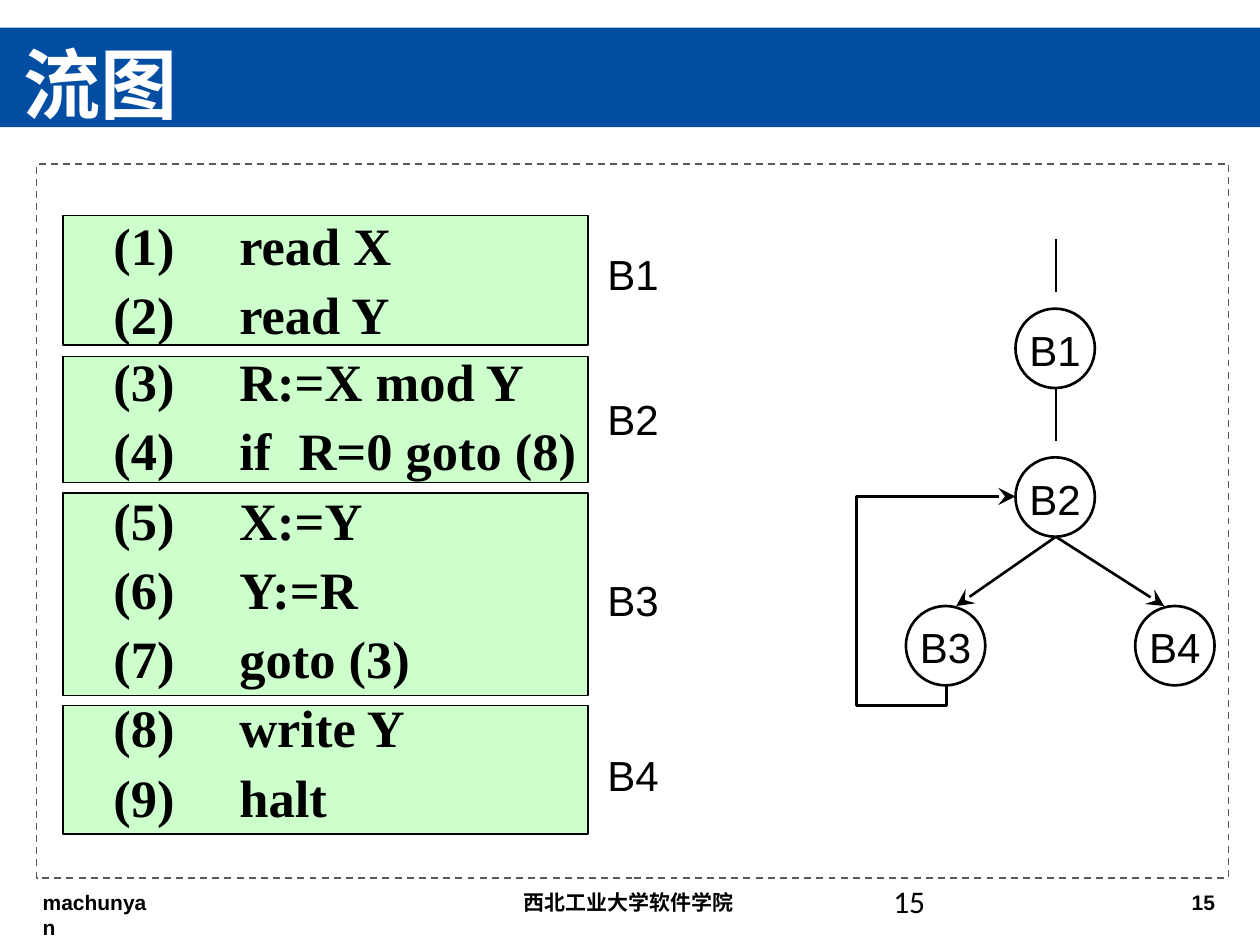
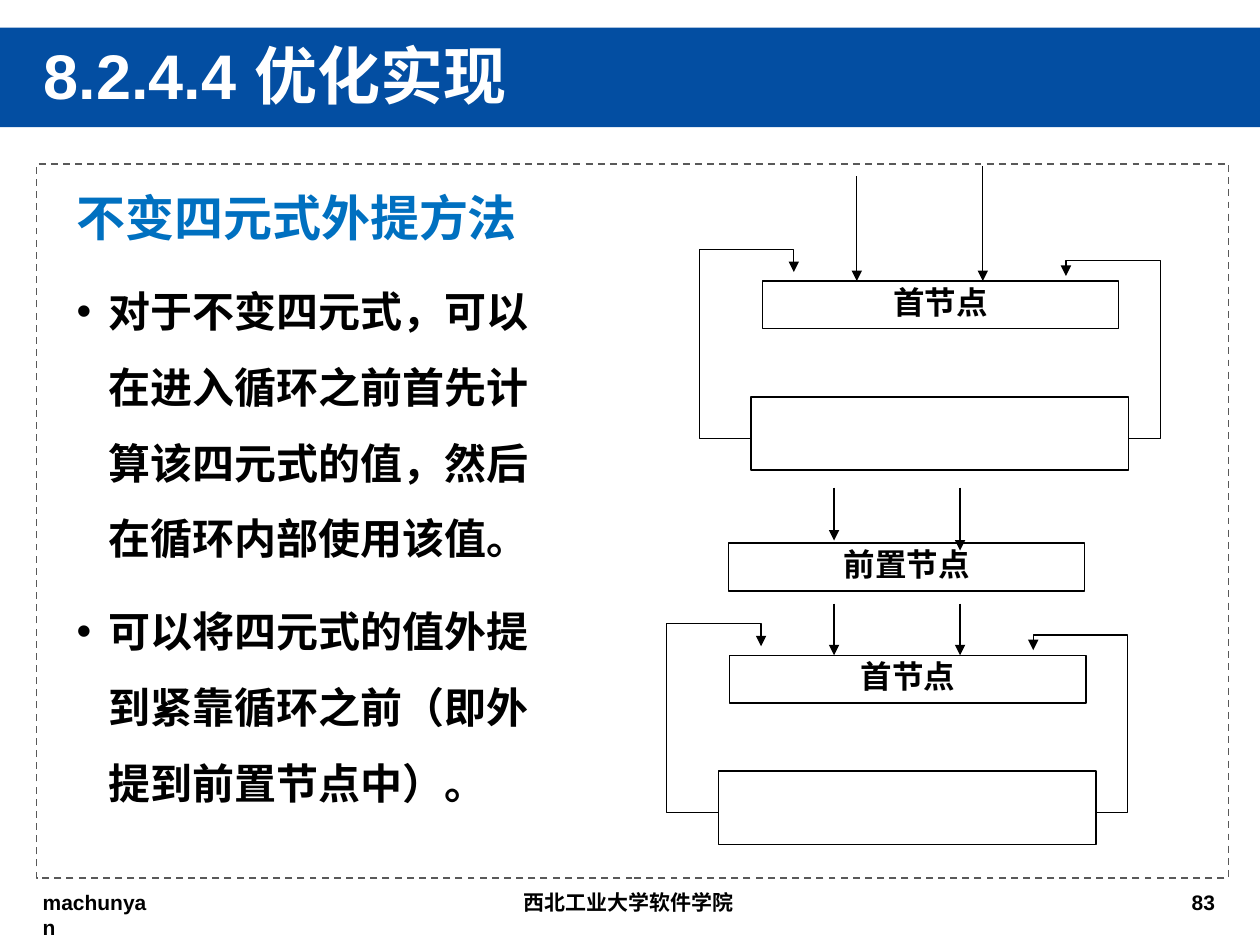
from dataclasses import dataclass

import pptx
import pptx.dml.color
import pptx.enum.dml
import pptx.enum.shapes
import pptx.enum.text
import pptx.oxml.ns
import pptx.util
from lxml import etree

EMU_PER_PX = 9144  # 100 px to the inch
SLIDE_WIDTH, SLIDE_HEIGHT = 1000, 750

BLACK = pptx.dml.color.RGBColor(0x00, 0x00, 0x00)
WHITE = pptx.dml.color.RGBColor(0xFF, 0xFF, 0xFF)
BAND_BLUE = pptx.dml.color.RGBColor(0x03, 0x4E, 0xA2)
HEADING_BLUE = pptx.dml.color.RGBColor(0x00, 0x70, 0xC0)
FRAME_GREY = pptx.dml.color.RGBColor(0x59, 0x59, 0x59)
CODE_GREEN = pptx.dml.color.RGBColor(0xCC, 0xFF, 0xCC)

SHAPE = pptx.enum.shapes.MSO_SHAPE
ANCHOR = pptx.enum.text.MSO_ANCHOR
ALIGN = pptx.enum.text.PP_ALIGN

THIN, MEDIUM, THICK = 0.75, 1, 1.5
CODE_FONT = {"font": "Times New Roman", "size": 30, "bold": True}
LABEL_FONT = {"font": "Arial", "size": 24}
NODE_SIZE = 63


@dataclass(frozen=True)
class Box:
    left: int
    top: int
    width: int
    height: int


@dataclass(frozen=True)
class BasicBlock:
    name: str
    top: int
    height: int
    name_top: int
    code_top: int
    first_number: int
    code: tuple[str, ...]


@dataclass(frozen=True)
class Arrow:
    start: tuple[int, int]
    end: tuple[int, int]


BLOCKS = (
    BasicBlock("B1", 171, 103, 196, 168, 1, ("read X", "read Y")),
    BasicBlock("B2", 283, 100, 311, 271, 3, ("R:=X mod Y", "if\tR=0 goto (8)")),
    BasicBlock("B3", 391, 161, 455, 381, 5, ("X:=Y", "Y:=R", "goto (3)")),
    BasicBlock("B4", 560, 102, 594, 546, 8, ("write Y", "halt")),
)
FLOW_NODES = {"B1": (806, 245), "B2": (806, 363), "B3": (719, 481), "B4": (901, 481)}


def px(length: int) -> int:
    return length * EMU_PER_PX


def add_xml(parent, tag: str, **attributes):
    child = etree.SubElement(parent, pptx.oxml.ns.qn(tag))
    for name, value in attributes.items():
        child.set(name, str(value))
    return child


def write(shape, *paragraphs: str, font="Arial", size=12, bold=False, color=BLACK,
          align=ALIGN.LEFT, anchor=ANCHOR.TOP, insets=(10, 5, 10, 5),
          line_spacing=1.0, gap=0, hanging=0, bullet=None, start=None, tabs=()):
    """Fill a shape with text; gap is the space between paragraphs in points."""
    frame = shape.text_frame
    frame.word_wrap = True
    frame.vertical_anchor = anchor
    (frame.margin_left, frame.margin_top,
     frame.margin_right, frame.margin_bottom) = map(px, insets)
    for index, text in enumerate(paragraphs):
        paragraph = frame.add_paragraph() if index else frame.paragraphs[0]
        properties = paragraph._p.get_or_add_pPr()
        if hanging:
            properties.set("marL", str(px(hanging)))
            properties.set("indent", str(-px(hanging)))
        if bullet:
            add_xml(properties, "a:buFont", typeface="Arial")
            add_xml(properties, "a:buChar", char=bullet)
        elif start:
            add_xml(properties, "a:buAutoNum", type="arabicParenBoth", startAt=start)
        if tabs:
            stops = add_xml(properties, "a:tabLst")
            for position in tabs:
                add_xml(stops, "a:tab", pos=px(position), algn="l")
        paragraph.alignment = align
        paragraph.line_spacing = line_spacing
        paragraph.space_before = pptx.util.Pt(gap if index else 0)
        run = paragraph.add_run()
        run.text = text
        run.font.name = font
        run.font.size = pptx.util.Pt(size)
        run.font.bold = bold
        run.font.color.rgb = color


def add_text(slide, box: Box, *paragraphs: str, **text_format):
    write(slide.shapes.add_textbox(px(box.left), px(box.top), px(box.width), px(box.height)),
          *paragraphs, **text_format)


def style_outline(line, weight, color=BLACK):
    line.color.rgb = color
    line.width = pptx.util.Pt(weight)


def point_arrow(shape, head: str, size: str):
    line = shape.line._get_or_add_ln()
    add_xml(line, "a:tailEnd", type=head, w=size, len=size)


def add_figure(slide, kind, box: Box, fill=None, weight=0, color=BLACK):
    figure = slide.shapes.add_shape(kind, px(box.left), px(box.top),
                                    px(box.width), px(box.height))
    figure.shadow.inherit = False
    if fill is None:
        figure.fill.background()
    else:
        figure.fill.solid()
        figure.fill.fore_color.rgb = fill
    if weight:
        style_outline(figure.line, weight, color)
    else:
        figure.line.fill.background()
    return figure


def add_edge(slide, arrow: Arrow, weight, head=None, size="med"):
    edge = slide.shapes.add_connector(pptx.enum.shapes.MSO_CONNECTOR.STRAIGHT,
                                      *map(px, arrow.start + arrow.end))
    style_outline(edge.line, weight)
    if head:
        point_arrow(edge, head, size)
    add_xml(edge._element.spPr, "a:effectLst")


def add_bent_arrow(slide, points: list[tuple[int, int]], weight, head, size="med"):
    builder = slide.shapes.build_freeform(*points[0], scale=EMU_PER_PX)
    builder.add_line_segments(points[1:], close=False)
    path = builder.convert_to_shape()
    path.shadow.inherit = False
    path.fill.background()
    style_outline(path.line, weight)
    point_arrow(path, head, size)


def add_page(deck, number: int):
    """Add a blank slide with the footers, the title band and the dashed frame."""
    slide = deck.slides.add_slide(deck.slide_layouts[6])
    footers = (("machunyan", 24, 108), ("西北工业大学软件学院", 406, 188), (str(number), 936, 41))
    for text, left, width in footers:
        add_text(slide, Box(left, 701, width, 30), text, bold=True)
    add_figure(slide, SHAPE.RECTANGLE, Box(0, 22, SLIDE_WIDTH, 79), fill=BAND_BLUE)
    frame = add_figure(slide, SHAPE.RECTANGLE, Box(29, 130, 946, 567),
                       weight=MEDIUM, color=FRAME_GREY)
    frame.line.dash_style = pptx.enum.dml.MSO_LINE.DASH
    return slide


def add_title(slide, box: Box, text: str, **text_format):
    add_text(slide, box, text, bold=True, color=WHITE, anchor=ANCHOR.MIDDLE, **text_format)


def add_basic_block(slide, block: BasicBlock):
    add_figure(slide, SHAPE.RECTANGLE, Box(50, block.top, 417, block.height),
               fill=CODE_GREEN, weight=MEDIUM)
    if block.first_number == 1:
        for index, line in enumerate(block.code):
            add_text(slide, Box(90, block.code_top + 55 * index, 224, 52),
                     f"({index + 1})\t{line}", insets=(0, 1, 0, 0), tabs=(100,), **CODE_FONT)
    else:
        add_text(slide, Box(90, block.code_top, 377, 56 * len(block.code)), *block.code,
                 insets=(0, 6, 0, 0), hanging=100, start=block.first_number,
                 tabs=(100, 147), gap=3.5, **CODE_FONT)
    add_text(slide, Box(482, block.name_top, 44, 42), block.name,
             insets=(0, 1, 0, 0), **LABEL_FONT)


def build_flow_graph(deck):
    slide = add_page(deck, 15)
    for block in BLOCKS:
        add_basic_block(slide, block)
    for name, (left, top) in FLOW_NODES.items():
        node = add_figure(slide, SHAPE.OVAL, Box(left, top, NODE_SIZE, NODE_SIZE), weight=THICK)
        write(node, name, align=ALIGN.CENTER, anchor=ANCHOR.MIDDLE,
              insets=(0, 2, 0, 0), **LABEL_FONT)
    for top in (190, 308):
        add_edge(slide, Arrow((838, top), (838, top + 42)), THICK)
    for branch_end in ((759, 481), (924, 481)):
        add_edge(slide, Arrow((838, 426), branch_end), THICK, "stealth", "lg")
    add_bent_arrow(slide, [(751, 544), (751, 560), (680, 560), (680, 394), (806, 394)],
                   THICK, "stealth", "lg")
    add_text(slide, Box(706, 695, 225, 33), "15", font="Calibri", size=18, insets=(3, 5, 0, 0))
    add_title(slide, Box(9, 24, 500, 84), "流图", font="Calibri", size=44)


def add_node(slide, left: int, top: int, name: str):
    node = add_figure(slide, SHAPE.RECTANGLE, Box(left, top, 283, 38), weight=THIN)
    write(node, name, font="DejaVu Sans", size=18, bold=True,
          align=ALIGN.CENTER, line_spacing=0.9)


def add_loop(slide, left: int, top: int):
    """Draw a loop whose entry node has its corner at left, top."""
    add_node(slide, left, top, "首节点")
    add_figure(slide, SHAPE.RECTANGLE, Box(left - 9, top + 92, 300, 58), fill=WHITE, weight=THIN)
    back_edges = (
        [(-9, 125), (-50, 125), (-50, -25), (25, -25), (25, -7)],
        [(291, 125), (316, 125), (316, -16), (241, -16), (241, -4)],
    )
    for back_edge in back_edges:
        add_bent_arrow(slide, [(left + x, top + y) for x, y in back_edge], THIN, "triangle")


def build_hoisting(deck):
    slide = add_page(deck, 83)
    add_title(slide, Box(25, 30, 716, 65), "8.2.4.4 优化实现", size=36, line_spacing=0.9)
    add_text(slide, Box(51, 143, 394, 58), "不变四元式外提方法", size=28, bold=True,
             color=HEADING_BLUE, anchor=ANCHOR.BOTTOM, line_spacing=0.9)
    add_text(slide, Box(51, 202, 408, 450),
             "对于不变四元式，可以在进入循环之前首先计算该四元式的值，然后在循环内部使用该值。",
             "可以将四元式的值外提到紧靠循环之前（即外提到前置节点中）。",
             font="Calibri", size=24, bold=True, line_spacing=1.5, gap=10,
             hanging=25, bullet="•")
    add_loop(slide, 605, 223)
    add_loop(slide, 579, 520)
    add_node(slide, 578, 431, "前置节点")
    entries = ((680, 140, 223), (780, 132, 223), (662, 387, 429),
               (762, 387, 437), (662, 479, 520), (762, 479, 520))
    for x, top, bottom in entries:
        add_edge(slide, Arrow((x, top), (x, bottom)), THIN, "triangle")


def main():
    deck = pptx.Presentation()
    deck.slide_width, deck.slide_height = px(SLIDE_WIDTH), px(SLIDE_HEIGHT)
    build_flow_graph(deck)
    build_hoisting(deck)
    deck.save("out.pptx")


if __name__ == "__main__":
    main()
